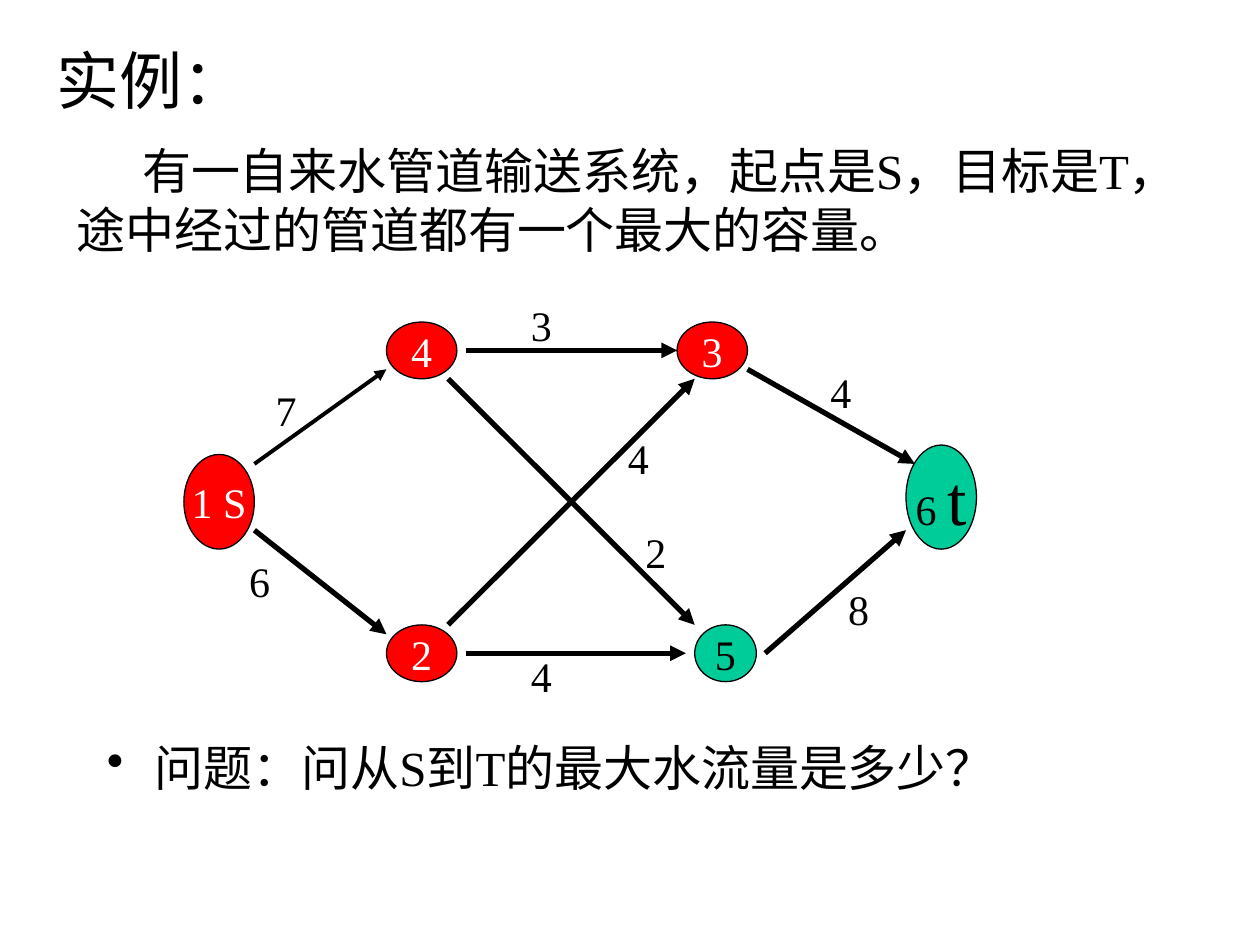
import lxml.etree
import pptx
import pptx.dml.color
import pptx.enum.shapes
import pptx.enum.text
import pptx.oxml.ns
import pptx.util

COLORS = {"black": "000000", "white": "FFFFFF", "red": "FF0000", "green": "00CC99"}
FONT = "Times New Roman"
GRID_COLUMNS, GRID_ROWS = 90, 41
ALIGN = pptx.enum.text.PP_ALIGN
ANCHOR = pptx.enum.text.MSO_ANCHOR
AUTO_SIZE = pptx.enum.text.MSO_AUTO_SIZE

# Grid units: column, row, width, height; then (text, size) runs and colours
NODES = [
    ((0, 17, 8, 10), [("1 S", 24)], "red", "white"),
    ((23, 3, 8, 6), [("4", 24)], "red", "white"),
    ((56, 3, 8, 6), [("3", 24)], "red", "white"),
    ((23, 35, 8, 6), [("2", 24)], "red", "white"),
    ((58, 35, 7, 6), [("5", 24)], "green", "black"),
    ((82, 16, 8, 11), [("6 ", 24), ("t", 40)], "green", "black"),
]
# Start and end in grid units; line width in points
PIPES = [
    ((8, 18), (23, 8), 2.25),
    ((8, 25), (23, 36), 3),
    ((32, 38), (57, 38), 3),
    ((32, 6), (56, 6), 3),
    ((64, 8), (83, 18), 3),
    ((66, 38), (82, 25), 3),
    ((30, 9), (58, 35), 3),
    ((30, 35), (58, 9), 3),
]
CAPACITIES = [
    ("7", (9, 9, 6, 12)),
    ("3", (38, 0, 11, 6.67)),
    ("4", (38, 37, 14, 6.67)),
    ("8", (74, 30, 11, 6.67)),
    ("4", (72, 7, 10, 6.67)),
    ("2", (51, 24, 13, 6.67)),
    ("4", (49, 14, 8, 6.67)),
    ("6", (6, 27, 9, 6.67)),
]


def rgb(name):
    return pptx.dml.color.RGBColor.from_string(COLORS[name])


def set_attributes(target, values):
    for name, value in values.items():
        setattr(target, name, value)


def inches(box):
    return [pptx.util.Inches(length) for length in box]


def write_text(shape, runs, color="black", align=ALIGN.LEFT, **frame_format):
    frame = shape.text_frame
    frame_values = {
        "word_wrap": True,
        "auto_size": AUTO_SIZE.NONE,
        "vertical_anchor": ANCHOR.TOP,
    }
    set_attributes(frame, {**frame_values, **frame_format})
    paragraph = frame.paragraphs[0]
    paragraph.alignment = align
    for text, size in runs:
        run = paragraph.add_run()
        run.text = text
        set_attributes(run.font, {"name": FONT, "size": pptx.util.Pt(size)})
        run.font.color.rgb = rgb(color)
    return paragraph


def set_indent(paragraph, left, first_line):
    properties = paragraph._p.get_or_add_pPr()
    properties.set("marL", str(pptx.util.Inches(left)))
    properties.set("indent", str(pptx.util.Inches(first_line)))
    return properties


def add_title(slide, box):
    title = slide.shapes.title
    names = ("left", "top", "width", "height")
    set_attributes(title, dict(zip(names, inches(box))))
    paragraph = write_text(title, [("实例：", 36)])
    paragraph.line_spacing = 1.0


def add_introduction(slide, box):
    text_box = slide.shapes.add_textbox(*inches(box))
    text = "有一自来水管道输送系统，起点是S，目标是T，途中经过的管道都有一个最大的容量。"
    set_indent(write_text(text_box, [(text, 28)]), 0, 0.52)


def add_question(slide, box):
    text_box = slide.shapes.add_textbox(*inches(box))
    paragraph = write_text(text_box, [("问题：问从S到T的最大水流量是多少？", 28)])
    properties = set_indent(paragraph, 0.38, -0.38)
    bullet = lxml.etree.SubElement(properties, pptx.oxml.ns.qn("a:buChar"))
    bullet.set("char", "•")


def add_node(shapes, box, runs, fill, color):
    node = shapes.add_shape(pptx.enum.shapes.MSO_SHAPE.OVAL, *inches(box))
    node.shadow.inherit = False
    node.fill.solid()
    node.fill.fore_color.rgb = rgb(fill)
    node.line.color.rgb = rgb("black")
    node.line.width = pptx.util.Pt(0.75)
    write_text(node, runs, color, ALIGN.CENTER,
               word_wrap=False, vertical_anchor=ANCHOR.MIDDLE)


def add_pipe(shapes, start, end, width):
    pipe = shapes.add_connector(
        pptx.enum.shapes.MSO_CONNECTOR.STRAIGHT, *inches(start + end))
    pipe.line.color.rgb = rgb("black")
    pipe.line.width = pptx.util.Pt(width)
    qn = pptx.oxml.ns.qn
    lxml.etree.SubElement(pipe.line._get_or_add_ln(), qn("a:tailEnd")).set("type", "triangle")
    lxml.etree.SubElement(pipe._element.spPr, qn("a:effectLst"))


def add_network(slide, box):
    """Draw the pipe network on a grid that fills the box."""
    left, top, width, height = box
    column, row = width / GRID_COLUMNS, height / GRID_ROWS

    def point(x, y):
        return (left + x * column, top + y * row)

    def area(x, y, columns, rows):
        return point(x, y) + (columns * column, rows * row)

    shapes = slide.shapes.add_group_shape().shapes
    for place, runs, fill, color in NODES:
        add_node(shapes, area(*place), runs, fill, color)
    for start, end, line_width in PIPES:
        add_pipe(shapes, point(*start), point(*end), line_width)
    for text, place in CAPACITIES:
        write_text(shapes.add_textbox(*inches(area(*place))), [(text, 24)])


def main():
    presentation = pptx.Presentation()
    presentation.slide_width, presentation.slide_height = inches((10, 7.5))
    slide = presentation.slides.add_slide(presentation.slide_layouts.get_by_name("Title Only"))
    add_question(slide, (0.75, 5.8, 8.5, 0.71))
    add_network(slide, (1.46, 2.33, 6.29, 3.08))
    add_title(slide, (0.35, 0.28, 1.73, 0.7))
    add_introduction(slide, (0.51, 1.07, 8.98, 1.04))
    presentation.save("out.pptx")


if __name__ == "__main__":
    main()
